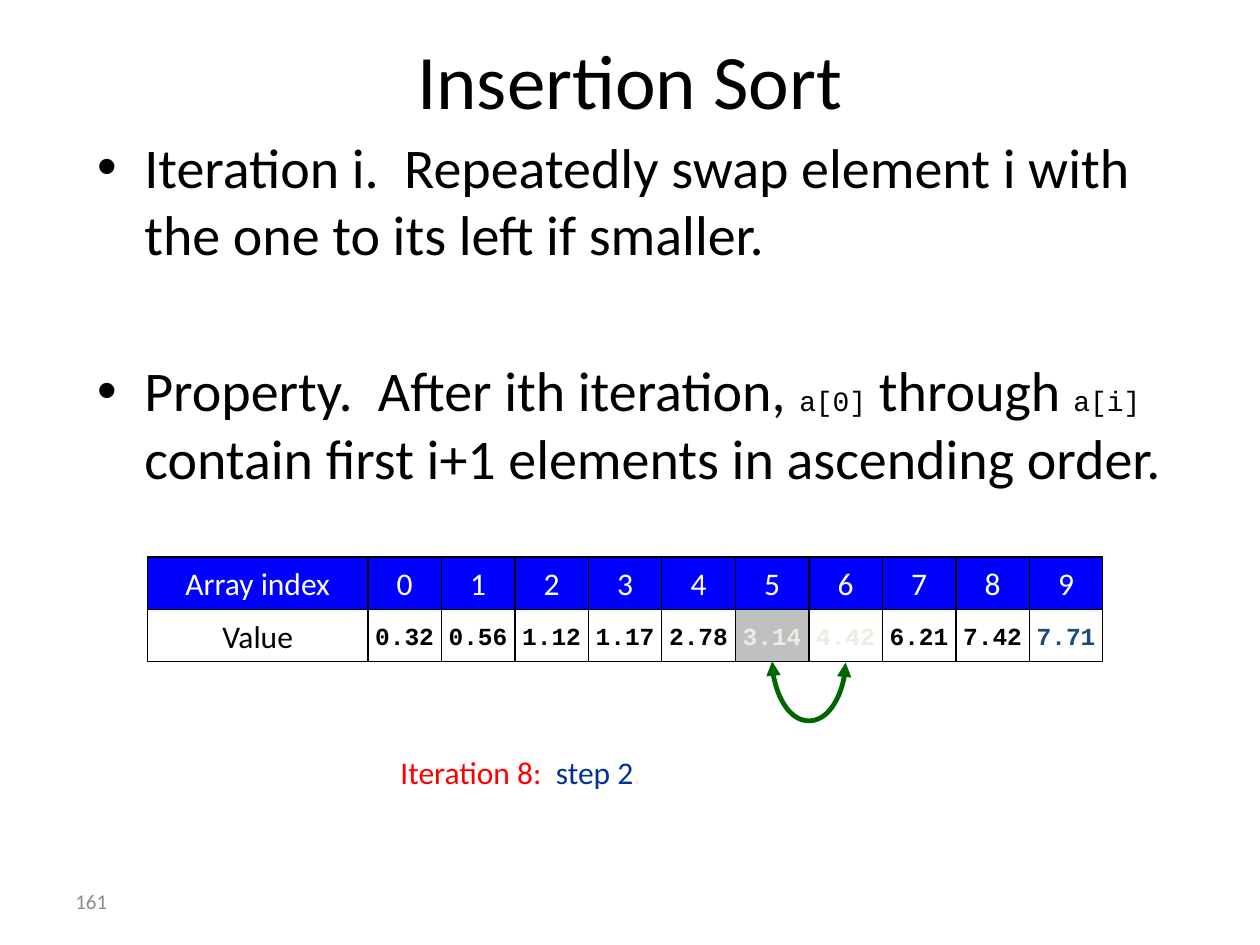
from lxml import etree
from pptx import Presentation
from pptx.dml.color import RGBColor
from pptx.enum.shapes import MSO_CONNECTOR, MSO_SHAPE
from pptx.enum.text import MSO_ANCHOR, MSO_AUTO_SIZE, PP_ALIGN
from pptx.oxml.ns import qn
from pptx.util import Inches, Pt

RECTANGLE = MSO_SHAPE.RECTANGLE
CURVE = MSO_CONNECTOR.CURVE
MIDDLE = MSO_ANCHOR.MIDDLE
CENTER = PP_ALIGN.CENTER
NO_AUTOFIT = MSO_AUTO_SIZE.NONE

BLACK = RGBColor(0x00, 0x00, 0x00)
WHITE = RGBColor(0xFF, 0xFF, 0xFF)
HEADER_BLUE = RGBColor(0x00, 0x00, 0xFF)
NAVY = RGBColor(0x1F, 0x49, 0x7D)
STEP_BLUE = RGBColor(0x00, 0x33, 0x99)
RED = RGBColor(0xFF, 0x00, 0x00)
GREEN = RGBColor(0x00, 0x66, 0x00)
SILVER = RGBColor(0xC0, 0xC0, 0xC0)
CREAM = RGBColor(0xEE, 0xEC, 0xE1)
GRAY = RGBColor(0x8C, 0x8C, 0x8C)

BODY_FONT = "Calibri"
CODE_FONT = "Courier New"


def add_run(p, text, size=18, color=BLACK, font=BODY_FONT, bold=False):
    r = p.add_run()
    r.text = text
    r.font.size = Pt(size)
    r.font.color.rgb = color
    r.font.name = font
    r.font.bold = bold


def add_cell(left, top, width, height, fill, text, **text_format):
    sp = s.shapes.add_shape(RECTANGLE, Inches(left), Inches(top),
                            Inches(width), Inches(height))
    sp.shadow.inherit = False
    sp.fill.solid()
    sp.fill.fore_color.rgb = fill
    sp.line.color.rgb = BLACK
    sp.line.width = Pt(0.75)
    tf = sp.text_frame
    tf.word_wrap = False
    tf.vertical_anchor = MIDDLE
    p = tf.paragraphs[0]
    p.alignment = CENTER
    add_run(p, text, **text_format)


prs = Presentation()
prs.slide_width = Inches(10)
prs.slide_height = Inches(7.5)
s = prs.slides.add_slide(prs.slide_layouts[1])

# Title
title = s.shapes.title
title.left, title.top = Inches(0.5), Inches(0)
title.width, title.height = Inches(9), Inches(1.25)
add_run(title.text_frame.paragraphs[0], "Insertion Sort", size=44)

# Bullets
body = s.placeholders[1]
body.left, body.top = Inches(0.67), Inches(1)
body.width, body.height = Inches(8.83), Inches(5.92)
tf = body.text_frame
tf.auto_size = NO_AUTOFIT
p = tf.paragraphs[0]
p.space_before = Pt(0)
add_run(p, "Iteration i.  Repeatedly swap element i with the one to its left "
           "if smaller.", size=32)
p = tf.add_paragraph()
p.space_before = Pt(51)
add_run(p, "Property.  After ith iteration, ", size=32)
add_run(p, "a[0]", size=16, font=CODE_FONT)
add_run(p, " through ", size=32)
add_run(p, "a[i]", size=16, font=CODE_FONT)
add_run(p, " contain first i+1 elements in ascending order.", size=32)

# Array: a row of indices above a row of values
ARRAY_LEFT, ARRAY_TOP = 1.17, 4.42
LABEL_WIDTH, CELL_WIDTH, ROW_HEIGHT = 1.75, 7 / 12, 5 / 12
VALUE_TOP = ARRAY_TOP + ROW_HEIGHT
VALUES = ["0.32", "0.56", "1.12", "1.17", "2.78",
          "3.14", "4.42", "6.21", "7.42", "7.71"]
VALUE_COLORS = {5: CREAM, 6: CREAM, 9: NAVY}
VALUE_FILLS = {5: SILVER}

add_cell(ARRAY_LEFT, ARRAY_TOP, LABEL_WIDTH, ROW_HEIGHT, HEADER_BLUE,
         "Array index", color=WHITE)
add_cell(ARRAY_LEFT, VALUE_TOP, LABEL_WIDTH, ROW_HEIGHT, WHITE, "Value")
for i, value in enumerate(VALUES):
    left = ARRAY_LEFT + LABEL_WIDTH + i * CELL_WIDTH
    add_cell(left, ARRAY_TOP, CELL_WIDTH, ROW_HEIGHT, HEADER_BLUE,
             str(i), color=WHITE)
    add_cell(left, VALUE_TOP, CELL_WIDTH, ROW_HEIGHT,
             VALUE_FILLS.get(i, WHITE), value, size=14, font=CODE_FONT,
             bold=True, color=VALUE_COLORS.get(i, BLACK))

# Swap arrow between cells 5 and 6: a flat curve turned to hang below the row
SWAP_DEPTH, SWAP_THICKNESS = 0.48, 0.01
swap_x = ARRAY_LEFT + LABEL_WIDTH + 6 * CELL_WIDTH
swap_y = VALUE_TOP + ROW_HEIGHT
swap = s.shapes.add_connector(
    CURVE,
    Inches(swap_x - SWAP_THICKNESS / 2), Inches(swap_y - CELL_WIDTH / 2),
    Inches(swap_x + SWAP_THICKNESS / 2), Inches(swap_y + CELL_WIDTH / 2))
swap.line.color.rgb = GREEN
swap.line.width = Pt(2.75)
sp_pr = swap.line._get_or_add_ln().getparent()
xfrm = sp_pr.find(qn("a:xfrm"))
xfrm.set("rot", str(270 * 60000))
xfrm.set("flipH", "1")
adjustments = sp_pr.find(qn("a:prstGeom")).find(qn("a:avLst"))
depth_ratio = round(SWAP_DEPTH / SWAP_THICKNESS * 100000)
etree.SubElement(adjustments, qn("a:gd"), name="adj1",
                 fmla=f"val {depth_ratio}")
for end in ("a:headEnd", "a:tailEnd"):
    etree.SubElement(sp_pr.find(qn("a:ln")), qn(end), type="triangle")
etree.SubElement(sp_pr, qn("a:effectLst"))

# Step caption
caption = s.shapes.add_textbox(Inches(3.08), Inches(5.93),
                               Inches(4.08), Inches(0.4))
caption.text_frame.word_wrap = True
p = caption.text_frame.paragraphs[0]
add_run(p, "Iteration 8:  ", color=RED)
add_run(p, "step 2", color=STEP_BLUE)
add_run(p, ".", color=CREAM)

# Slide number
number = s.shapes.add_textbox(Inches(0.5), Inches(6.95),
                              Inches(2.33), Inches(0.4))
number.text_frame.word_wrap = True
number.text_frame.vertical_anchor = MIDDLE
add_run(number.text_frame.paragraphs[0], "161", size=12, color=GRAY)

prs.save("out.pptx")
